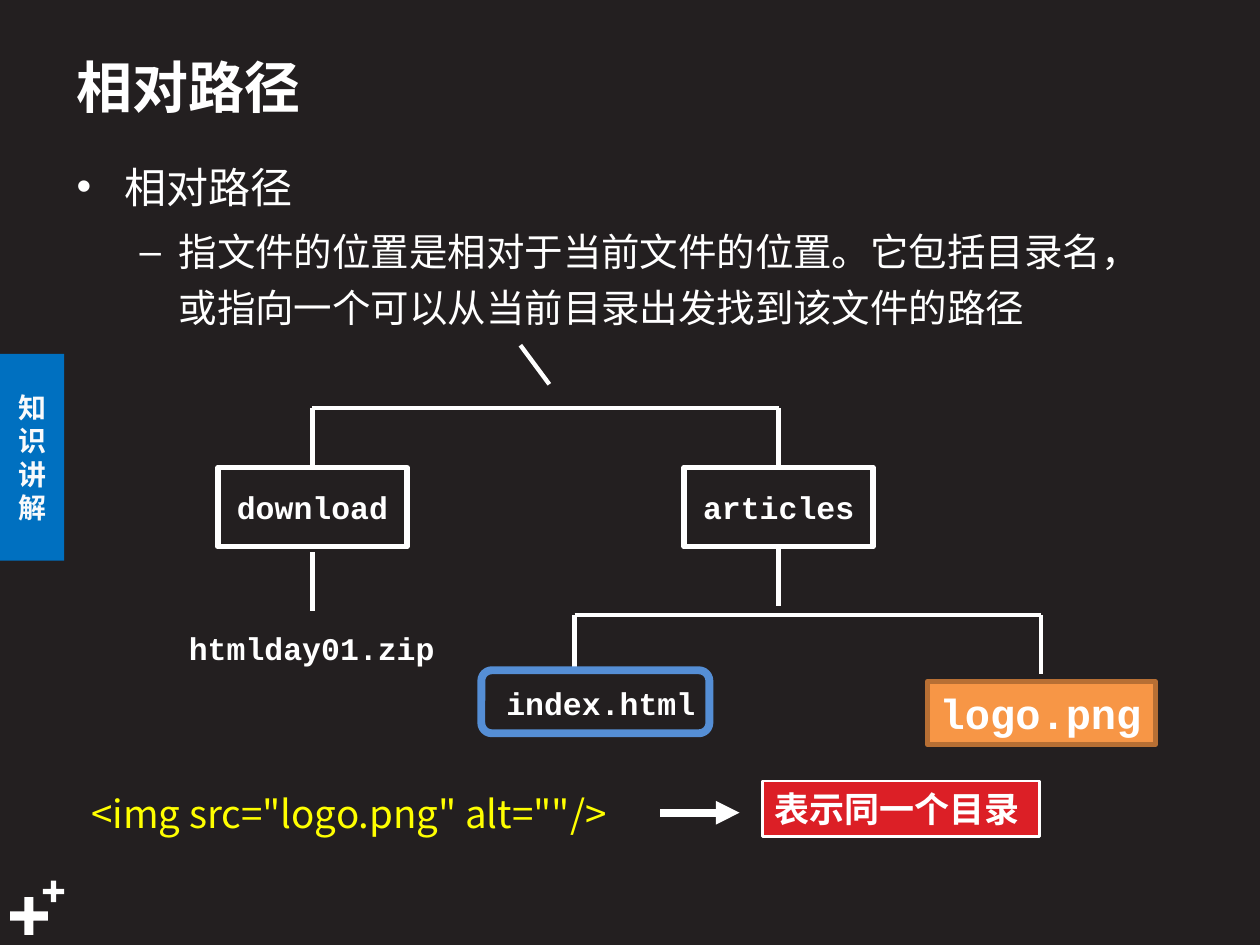
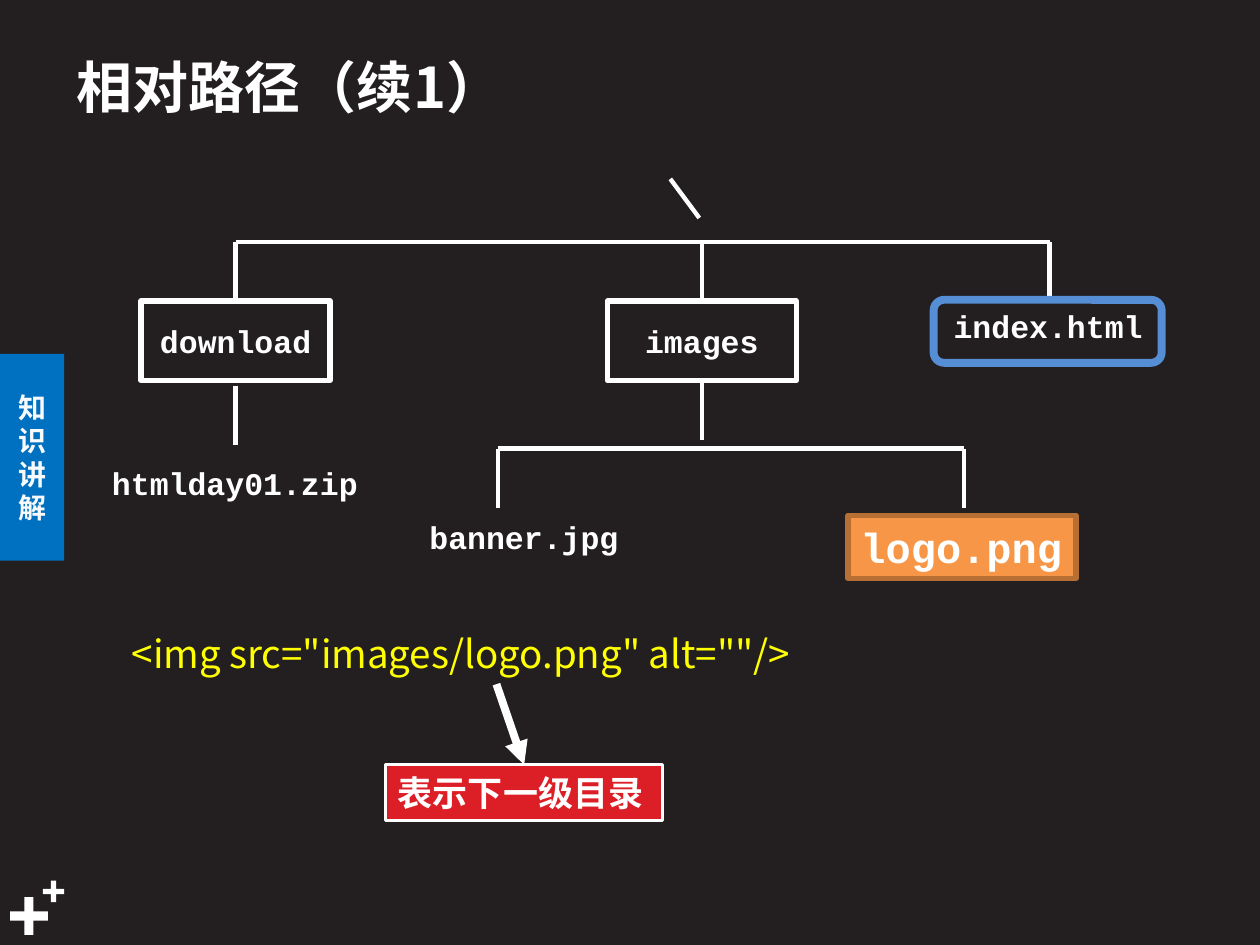
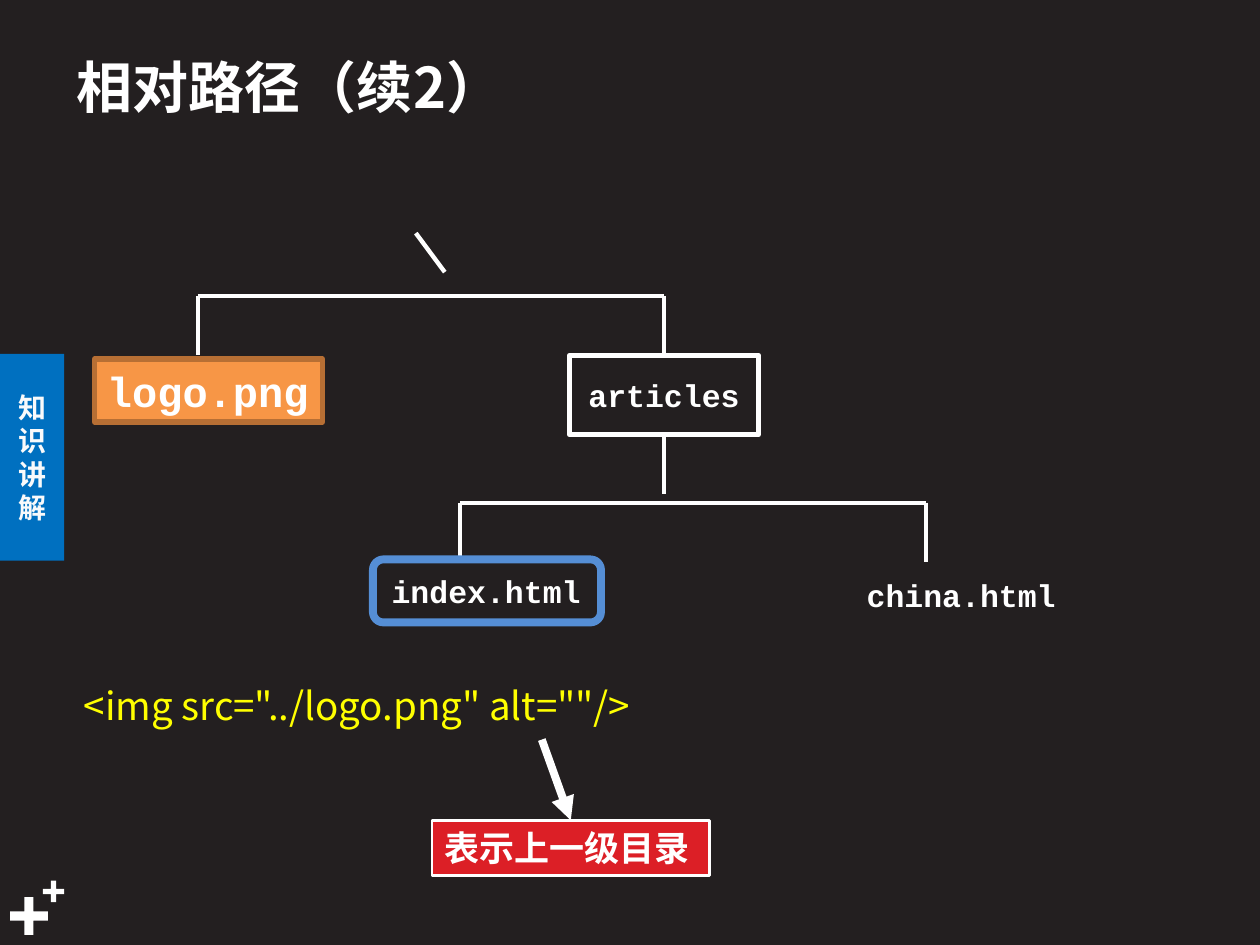
"""Builds three slides that explain relative paths with directory trees."""
from lxml.etree import SubElement
from pptx import Presentation
from pptx.dml.color import RGBColor
from pptx.enum.shapes import MSO_CONNECTOR, MSO_SHAPE
from pptx.enum.text import MSO_ANCHOR, PP_ALIGN
from pptx.oxml.ns import qn
from pptx.util import Inches, Pt

DARK = RGBColor(0x23, 0x1F, 0x20)
WHITE = RGBColor(0xFF, 0xFF, 0xFF)
TAB_BLUE = RGBColor(0x00, 0x70, 0xC0)
TAB_TEXT = RGBColor(0xF9, 0xFA, 0xFB)
ORANGE = RGBColor(0xF7, 0x96, 0x46)
BROWN = RGBColor(0xB7, 0x6F, 0x34)
RED = RGBColor(0xDC, 0x1F, 0x26)
YELLOW = RGBColor(0xFF, 0xFF, 0x00)
FRAME_BLUE = RGBColor(0x55, 0x8E, 0xD5)
SANS, MONO = "Noto Sans CJK SC", "Courier New"

SECTION = "知识讲解"
PLUSES = [(0.08, 7.12, 0.3), (0.34, 6.99, 0.17)]
BULLETS = [
    ("相对路径", dict(size=24, bullet="•", margin=0.38, hang=0.38)),
    ("指文件的位置是相对于当前文件的位置。它包括目录名，或指向一个可以从当前目录出发找到该文件的路径",
     dict(size=22, bullet="–", margin=0.81, hang=0.31)),
]
SLIDES = [
    dict(title="相对路径", bullets=BULLETS, tree=(2.48, 3.24), slash=4.13,
         folders=["download", "articles"], extra_branches=[],
         files=[("htmlday01.zip", 1.4, 4.94), ("index.html", 3.92, 5.38)],
         logo=(7.36, 5.41), current=(3.82, 5.32),
         code='<img src="logo.png" alt=""/>', code_box=(0.62, 6.21, 5.55),
         note="表示同一个目录", note_at=(6.05, 6.2), arrow=(5.24, 6.45, 5.87, 6.45)),
    dict(title="相对路径（续1）", bullets=[], tree=(1.87, 1.92), slash=5.32,
         folders=["download", "images"], extra_branches=[8.33],
         files=[("htmlday01.zip", 0.79, 3.63), ("banner.jpg", 3.31, 4.06),
                ("index.html", 7.47, 2.39)],
         logo=(6.73, 4.09), current=(7.41, 2.38),
         code='<img src="images/logo.png" alt=""/>', code_box=(0.94, 4.94, 7.09),
         note="表示下一级目录", note_at=(3.06, 6.07), arrow=(3.94, 5.43, 4.16, 6.07)),
    dict(title="相对路径（续2）", bullets=[], tree=(1.57, 2.35), slash=3.3,
         folders=[None, "articles"], extra_branches=[],
         files=[("index.html", 3.01, 4.49), ("china.html", 6.78, 4.52)],
         logo=(0.75, 2.85), current=(2.96, 4.44),
         code='<img src="../logo.png" alt=""/>', code_box=(0.56, 5.36, 7.09),
         note="表示上一级目录", note_at=(3.43, 6.51), arrow=(4.3, 5.87, 4.53, 6.51)),
]

DROP = 0.47
LEVEL = 1.64
FOLDER_GAP = 3.7
FOLDER_W, FOLDER_H = 1.5, 0.63
CHILD_LEFT, CHILD_RIGHT = -1.62, 2.08
FILE_W, FILE_H = 1.81, 0.5


def write(shape, text, size=18, font=SANS, color=WHITE, bold=False, align=PP_ALIGN.LEFT,
          anchor=MSO_ANCHOR.TOP, wrap=True, bullet=None, margin=0, hang=0):
    """Add one formatted paragraph to a shape."""
    frame = shape.text_frame
    frame.word_wrap, frame.vertical_anchor = wrap, anchor
    paragraph = frame.add_paragraph() if frame.text else frame.paragraphs[0]
    paragraph.alignment = align
    if bullet:
        paragraph.line_spacing = 1.2
        paragraph.space_before = Pt(size * 0.2)
        properties = paragraph._p.get_or_add_pPr()
        properties.set("marL", str(Inches(margin)))
        properties.set("indent", str(-Inches(hang)))
        SubElement(properties, qn("a:buFont")).set("typeface", "Arial")
        SubElement(properties, qn("a:buChar")).set("char", bullet)
    run = paragraph.add_run()
    run.text = text
    run.font.size, run.font.name, run.font.bold = Pt(size), font, bold
    run.font.color.rgb = color
    SubElement(run._r.get_or_add_rPr(), qn("a:ea")).set("typeface", font)


def add_box(slide, x, y, w, h, kind=MSO_SHAPE.RECTANGLE, fill=None, line=None, weight=3, adjust=None):
    """Add a preset shape without shadow."""
    box = slide.shapes.add_shape(kind, Inches(x), Inches(y), Inches(w), Inches(h))
    box.shadow.inherit = False
    if fill is None:
        box.fill.background()
    else:
        box.fill.solid()
        box.fill.fore_color.rgb = fill
    if line is None:
        box.line.fill.background()
    else:
        box.line.color.rgb, box.line.width = line, Pt(weight)
    if adjust is not None:
        box.adjustments[0] = adjust
    return box


def add_label(slide, x, y, w, h, text, **style):
    """Add a text box."""
    label = slide.shapes.add_textbox(Inches(x), Inches(y), Inches(w), Inches(h))
    write(label, text, **style)
    return label


def add_line(slide, x1, y1, x2, y2, weight=2.5, arrow=False):
    """Add a white straight line, with an arrowhead if asked."""
    line = slide.shapes.add_connector(
        MSO_CONNECTOR.STRAIGHT, Inches(x1), Inches(y1), Inches(x2), Inches(y2))
    line.line.color.rgb, line.line.width = WHITE, Pt(weight)
    if arrow:
        SubElement(line.line._get_or_add_ln(), qn("a:tailEnd")).set("type", "triangle")
    SubElement(line._element.spPr, qn("a:effectLst"))
    return line


def add_furniture(slide, title):
    """Add the pluses, section tab and title that all slides share."""
    for x, y, side in PLUSES:
        add_box(slide, x, y, side, side, MSO_SHAPE.CROSS, fill=WHITE, adjust=0.378)
    tab = add_box(slide, 0, 2.81, 0.51, LEVEL, fill=TAB_BLUE)
    write(tab, SECTION, size=16, color=TAB_TEXT, bold=True, align=PP_ALIGN.CENTER,
          anchor=MSO_ANCHOR.MIDDLE)
    add_label(slide, 0.51, 0.29, 7.4, 0.78, title, size=32, bold=True, anchor=MSO_ANCHOR.MIDDLE)


def add_branch(slide, y, xs):
    """Add a horizontal bar and return the drops that hang from it."""
    add_line(slide, xs[0], y, xs[-1], y)
    return [add_line(slide, x, y, x, y + DROP) for x in xs]


def add_tree(slide, content):
    """Add the root, both branch levels, the folders and the files."""
    left, top = content["tree"]
    parent = left + FOLDER_GAP
    slash = content["slash"]
    add_line(slide, slash, top - 0.5, slash + 0.23, top - 0.19)
    drops = add_branch(slide, top, [left, parent] + content["extra_branches"])
    add_branch(slide, top + LEVEL, [parent + CHILD_LEFT, parent + CHILD_RIGHT])

    folder_top = top + DROP
    stem_top = folder_top + FOLDER_H
    for name, x, drop in zip(content["folders"], (left, parent), drops):
        if name is None:
            continue
        folder = add_box(slide, x - FOLDER_W / 2, folder_top, FOLDER_W, FOLDER_H, line=WHITE)
        write(folder, name, font=MONO, bold=True, align=PP_ALIGN.CENTER, anchor=MSO_ANCHOR.MIDDLE)
        drop.end_connect(folder, 0)
        gap = 0.04 if x == left else 0
        stem = add_line(slide, x, stem_top + gap, x, stem_top + gap + DROP)
        if not gap:
            stem.begin_connect(folder, 2)

    for name, x, y in content["files"]:
        add_label(slide, x, y, 0.15 * len(name) + 0.2, 0.4, name, font=MONO, bold=True, wrap=False)
    logo = add_box(slide, *content["logo"], FILE_W, FILE_H, fill=ORANGE, line=BROWN)
    write(logo, "logo.png", size=24, font=MONO, bold=True, wrap=False)
    add_box(slide, *content["current"], FILE_W, FILE_H, MSO_SHAPE.ROUNDED_RECTANGLE,
            line=FRAME_BLUE, weight=4.5)


def add_example(slide, content):
    """Add the code line, its note and the arrow between them."""
    code = add_box(slide, *content["code_box"], 0.48, MSO_SHAPE.ROUNDED_RECTANGLE, adjust=0.053)
    write(code, content["code"], size=22, color=YELLOW)
    note = add_box(slide, *content["note_at"], 2.2, 0.44, fill=RED, line=WHITE, weight=1.5)
    write(note, content["note"], size=20, bold=True, anchor=MSO_ANCHOR.MIDDLE)
    arrow = add_line(slide, *content["arrow"], weight=4.5, arrow=True)
    if content["arrow"][3] == content["note_at"][1]:
        arrow.end_connect(note, 0)


def main():
    """Build and save the slides."""
    deck = Presentation()
    deck.slide_width, deck.slide_height = Inches(10), Inches(7.5)
    backdrop = deck.slide_master.background.fill
    backdrop.solid()
    backdrop.fore_color.rgb = DARK
    for content in SLIDES:
        slide = deck.slides.add_slide(deck.slide_layouts[6])
        add_furniture(slide, content["title"])
        if content["bullets"]:
            (lead, lead_style), *details = content["bullets"]
            body = add_label(slide, 0.51, 1.15, 8.82, 2.58, lead, **lead_style)
            for detail, style in details:
                write(body, detail, **style)
        add_tree(slide, content)
        add_example(slide, content)
    deck.save("out.pptx")


if __name__ == "__main__":
    main()
